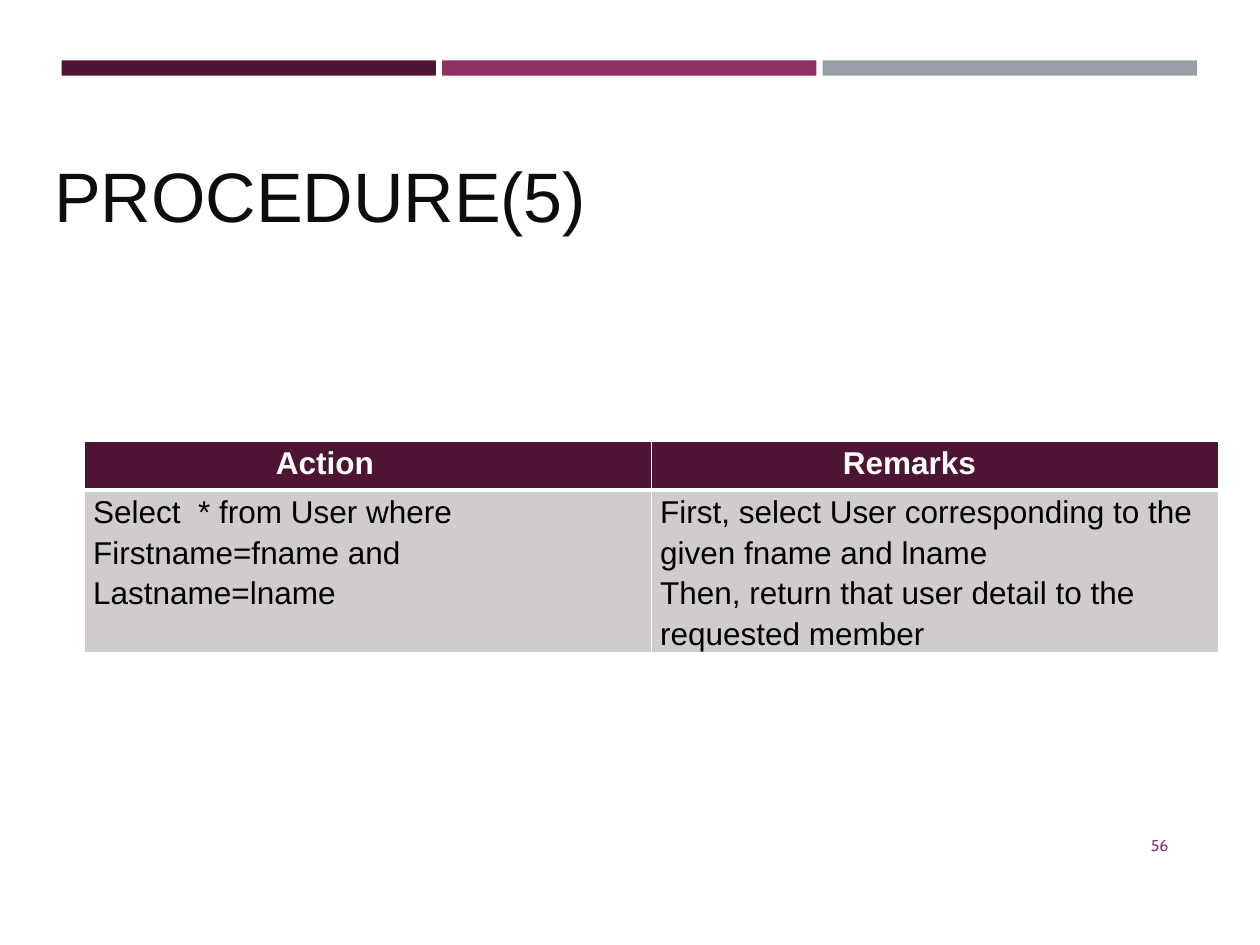
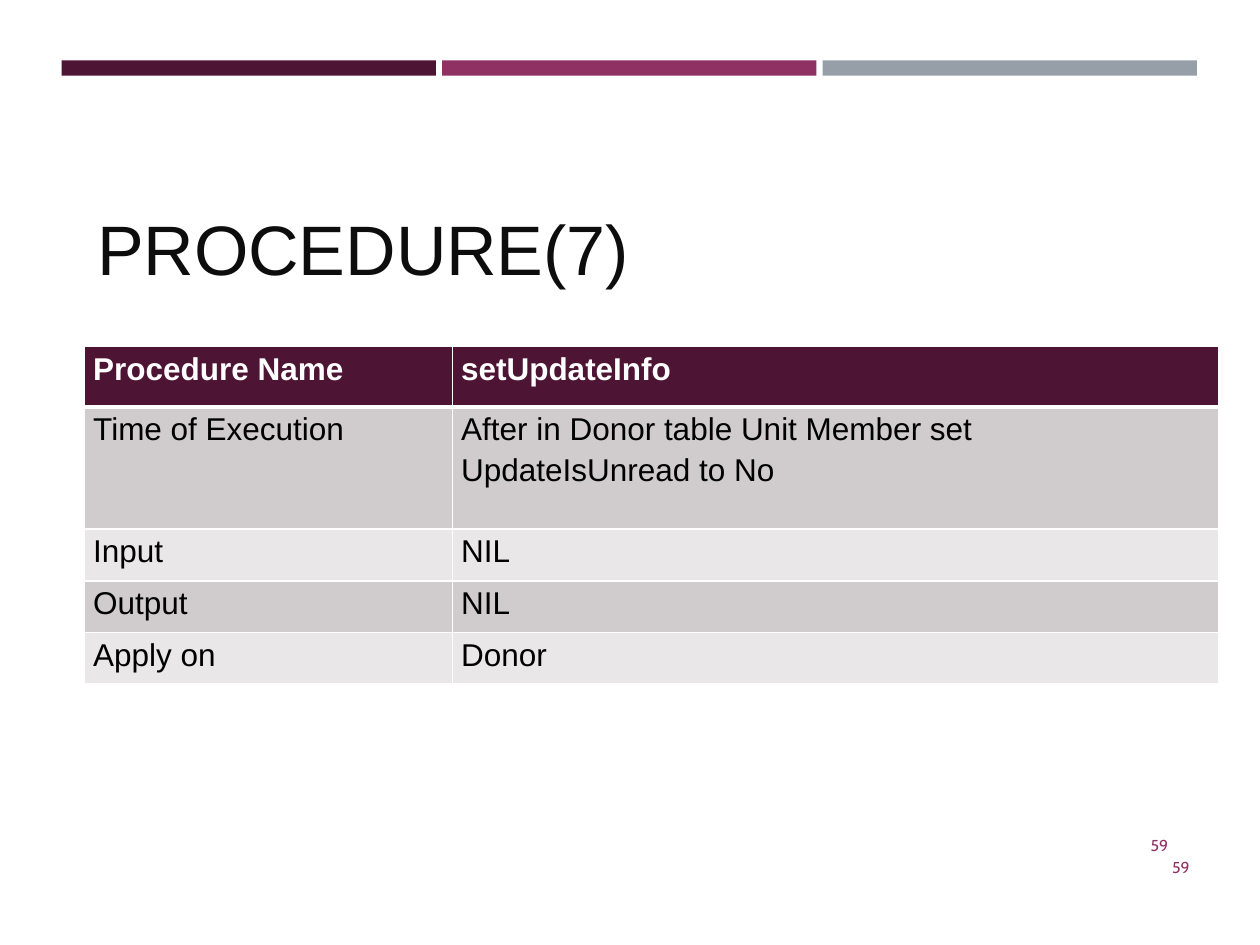
from lxml import etree
from pptx import Presentation
from pptx import util as u
from pptx.dml.color import RGBColor
from pptx.enum import shapes, text
from pptx.oxml import ns

PLUM, BERRY, SLATE, INK = "4D1434", "903163", "969FA7", "0D0D0D"
WHITE, BLACK, BANDS = "FFFFFF", "000000", ("D0CCCE", "E9E7E8")
TABLE_LEFT = 0.67
NUMBER_AT, SECOND_NUMBER_AT = (8.53, 6.51), (8.7, 6.68)

SLIDES = [
    dict(
        title="PROCEDURE(5)", title_at=(0.33, 0.75),
        number="56", numbers_at=[NUMBER_AT],
        top=3.5, cols=(4.5, 4.5), rows=(0.39, 1.29), head_indent=1.45,
        cells=[
            ("Action", "Remarks"),
            ("Select  * from User where Firstname=fname and Lastname=lname",
             "First, select User corresponding to the given fname and lname\n"
             "Then, return that user detail to the requested member"),
        ]),
    dict(
        title="PROCEDURE(7)", title_at=(0.67, 1.17),
        number="59", numbers_at=[NUMBER_AT, SECOND_NUMBER_AT],
        top=2.75, cols=(2.92, 6.08), rows=(0.48, 0.97, 0.41, 0.41, 0.41), head_indent=0,
        cells=[
            ("Procedure Name", "setUpdateInfo"),
            ("Time of Execution", "After in Donor table Unit Member set UpdateIsUnread to No"),
            ("Input", "NIL"),
            ("Output", "NIL"),
            ("Apply on", "Donor"),
        ]),
]


def rgb(value):
    """Turn a hex string into a colour."""
    return RGBColor.from_string(value)


def write(tf, content, size=18, font="Arial", color=BLACK, bold=False,
          align=text.PP_ALIGN.LEFT, spacing=1.0, indent=0):
    """Fill a text frame, one paragraph a line, in one format."""
    tf.word_wrap = True
    for i, line in enumerate(content.split("\n")):
        p = tf.paragraphs[0] if i == 0 else tf.add_paragraph()
        p.alignment, p.line_spacing = align, spacing
        if indent:
            p._p.get_or_add_pPr().set("marL", str(u.Inches(indent)))
        r = p.add_run()
        r.text = line
        r.font.size, r.font.name, r.font.bold = u.Pt(size), font, bold
        r.font.color.rgb = rgb(color)


def add_bands(s, left=0.49, top=0.48, width=2.97, height=0.12, gap=0.05):
    """Draw the three bands across the top."""
    for i, color in enumerate((PLUM, BERRY, SLATE)):
        x = left + i * (width + gap)
        sp = s.shapes.add_shape(shapes.MSO_SHAPE.RECTANGLE, *map(u.Inches, (x, top, width, height)))
        sp.shadow.inherit = False
        sp.fill.solid()
        sp.fill.fore_color.rgb = rgb(color)
        sp.line.fill.background()


def add_title(s, content, at):
    """Place and format the title placeholder."""
    sp = s.shapes.title
    sp.left, sp.top, sp.width, sp.height = map(u.Inches, (*at, 8.74, 1.18))
    sp.text_frame.vertical_anchor = text.MSO_ANCHOR.BOTTOM
    write(sp.text_frame, content, size=40, color=INK)


def add_number(s, content, at):
    """Write a slide number."""
    tf = s.shapes.add_textbox(*map(u.Inches, (*at, 0.84, 0.4))).text_frame
    tf.vertical_anchor = text.MSO_ANCHOR.MIDDLE
    write(tf, content, size=9, font="Cabin", color=BERRY, align=text.PP_ALIGN.RIGHT)


def set_borders(cell, row):
    """Give a cell white borders, thick below the header."""
    widths = dict(lnL=1, lnR=1, lnT=3 if row == 1 else 1, lnB=3 if row == 0 else 1)
    for tag, width in widths.items():
        ln = etree.SubElement(cell._tc.get_or_add_tcPr(), ns.qn("a:" + tag), w=str(u.Pt(width)))
        fill = etree.SubElement(ln, ns.qn("a:solidFill"))
        etree.SubElement(fill, ns.qn("a:srgbClr"), val=WHITE)


def add_grid(s, cells, top, cols, rows, head_indent):
    """Add a table with a dark header and banded rows."""
    box = map(u.Inches, (TABLE_LEFT, top, sum(cols), sum(rows)))
    table = s.shapes.add_table(len(rows), len(cols), *box).table
    for column, width in zip(table.columns, cols):
        column.width = u.Inches(width)
    for i, (row, height) in enumerate(zip(table.rows, rows)):
        row.height = u.Inches(height)
        head = i == 0
        for cell, content in zip(row.cells, cells[i]):
            cell.margin_left = cell.margin_right = u.Inches(0.07)
            cell.margin_top = cell.margin_bottom = 0
            set_borders(cell, i)
            cell.fill.solid()
            cell.fill.fore_color.rgb = rgb(PLUM if head else BANDS[(i - 1) % 2])
            write(cell.text_frame, content, color=WHITE if head else BLACK, bold=head,
                  spacing=1.15, indent=head_indent if head else 0)


prs = Presentation()
prs.slide_width, prs.slide_height = u.Inches(10), u.Inches(7.5)
for page in SLIDES:
    s = prs.slides.add_slide(prs.slide_layouts[5])
    add_bands(s)
    add_title(s, page["title"], page["title_at"])
    add_grid(s, page["cells"], page["top"], page["cols"], page["rows"], page["head_indent"])
    for at in page["numbers_at"]:
        add_number(s, page["number"], at)
prs.save("out.pptx")
